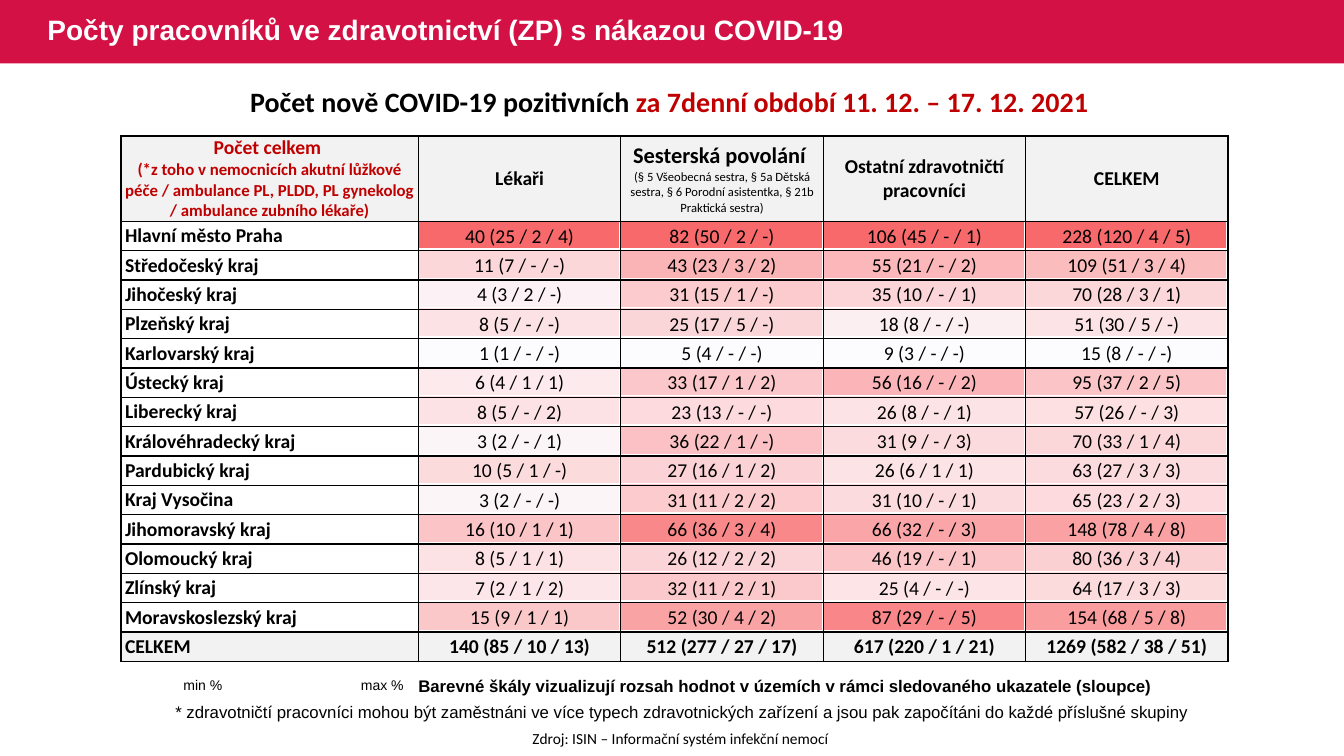
from math import ceil

from lxml import etree
from pptx import Presentation
from pptx.dml.color import RGBColor
from pptx.enum.shapes import MSO_SHAPE
from pptx.enum.text import MSO_ANCHOR, MSO_AUTO_SIZE, PP_ALIGN
from pptx.oxml.ns import qn
from pptx.util import Inches, Pt

RECT = MSO_SHAPE.RECTANGLE
MIDDLE = MSO_ANCHOR.MIDDLE
GROW = MSO_AUTO_SIZE.SHAPE_TO_FIT_TEXT
LEFT, CENTER = PP_ALIGN.LEFT, PP_ALIGN.CENTER

BLACK = RGBColor(0x00, 0x00, 0x00)
WHITE = RGBColor(0xFF, 0xFF, 0xFF)
RED = RGBColor(0xC0, 0x00, 0x00)
BAND = RGBColor(0xD3, 0x11, 0x45)
GREY = RGBColor(0xF2, 0xF2, 0xF2)
LOW = RGBColor(0xFC, 0xFC, 0xFF)
HIGH = RGBColor(0xF8, 0x69, 0x6B)

# Each header cell is a list of paragraphs: text, size, bold, colour
HEAD = [
    [("Počet celkem ", 14, True, RED),
     ("(*z toho v nemocnicích akutní lůžkové péče / ambulance PL, PLDD, "
      "PL gynekolog / ambulance zubního lékaře)", 12, True, RED)],
    [("Lékaři", 14, True, BLACK)],
    [("Sesterská povolání ", 16, True, BLACK),
     ("(§ 5 Všeobecná sestra, § 5a Dětská sestra, § 6 Porodní asistentka, "
      "§ 21b Praktická sestra)", 9, False, BLACK)],
    [("Ostatní zdravotničtí pracovníci", 14, True, BLACK)],
    [("CELKEM", 14, True, BLACK)],
]
REGIONS = [
    ("Hlavní město Praha", "40 (25 / 2 / 4)", "82 (50 / 2 / -)", "106 (45 / - / 1)", "228 (120 / 4 / 5)"),
    ("Středočeský kraj", "11 (7 / - / -)", "43 (23 / 3 / 2)", "55 (21 / - / 2)", "109 (51 / 3 / 4)"),
    ("Jihočeský kraj", "4 (3 / 2 / -)", "31 (15 / 1 / -)", "35 (10 / - / 1)", "70 (28 / 3 / 1)"),
    ("Plzeňský kraj", "8 (5 / - / -)", "25 (17 / 5 / -)", "18 (8 / - / -)", "51 (30 / 5 / -)"),
    ("Karlovarský kraj", "1 (1 / - / -)", "5 (4 / - / -)", "9 (3 / - / -)", "15 (8 / - / -)"),
    ("Ústecký kraj", "6 (4 / 1 / 1)", "33 (17 / 1 / 2)", "56 (16 / - / 2)", "95 (37 / 2 / 5)"),
    ("Liberecký kraj", "8 (5 / - / 2)", "23 (13 / - / -)", "26 (8 / - / 1)", "57 (26 / - / 3)"),
    ("Královéhradecký kraj", "3 (2 / - / 1)", "36 (22 / 1 / -)", "31 (9 / - / 3)", "70 (33 / 1 / 4)"),
    ("Pardubický kraj", "10 (5 / 1 / -)", "27 (16 / 1 / 2)", "26 (6 / 1 / 1)", "63 (27 / 3 / 3)"),
    ("Kraj Vysočina", "3 (2 / - / -)", "31 (11 / 2 / 2)", "31 (10 / - / 1)", "65 (23 / 2 / 3)"),
    ("Jihomoravský kraj", "16 (10 / 1 / 1)", "66 (36 / 3 / 4)", "66 (32 / - / 3)", "148 (78 / 4 / 8)"),
    ("Olomoucký kraj", "8 (5 / 1 / 1)", "26 (12 / 2 / 2)", "46 (19 / - / 1)", "80 (36 / 3 / 4)"),
    ("Zlínský kraj", "7 (2 / 1 / 2)", "32 (11 / 2 / 1)", "25 (4 / - / -)", "64 (17 / 3 / 3)"),
    ("Moravskoslezský kraj", "15 (9 / 1 / 1)", "52 (30 / 4 / 2)", "87 (29 / - / 5)", "154 (68 / 5 / 8)"),
]
TOTAL = ("CELKEM", "140 (85 / 10 / 13)", "512 (277 / 27 / 17)",
         "617 (220 / 1 / 21)", "1269 (582 / 38 / 51)")


def count(text):
    return int(text.split()[0])


def shade(value, column):
    """Colour of a value between the lowest and highest of its column."""
    part = (value - min(column)) / (max(column) - min(column))
    return RGBColor(*(ceil(a + (b - a) * part) for a, b in zip(LOW, HIGH)))


class Page:
    body, sans = "Calibri", "Arial"

    def __init__(self, deck):
        self.slide = deck.slides.add_slide(deck.slide_layouts[5])
        self.shapes = self.slide.shapes

    def run(self, para, text, size, bold=False, color=BLACK, font=body):
        run = para.add_run()
        run.text = text
        run.font.name, run.font.size, run.font.bold = font, Pt(size), bold
        run.font.color.rgb = color

    def band(self, x, y, w, h):
        bar = self.shapes.add_shape(RECT, Inches(x), Inches(y), Inches(w), Inches(h))
        bar.shadow.inherit = False
        bar.fill.solid()
        bar.fill.fore_color.rgb = BAND
        bar.line.fill.background()
        # Send the band behind the title
        self.shapes._spTree.insert(2, bar._element)

    def title(self, text, x, y, w, h):
        box = self.shapes.title
        box.left, box.top, box.width, box.height = map(Inches, (x, y, w, h))
        box.text_frame.vertical_anchor = MIDDLE
        para = box.text_frame.paragraphs[0]
        para.alignment, para.line_spacing = LEFT, 0.9
        self.run(para, text, 20, True, WHITE, self.sans)

    def text(self, x, y, w, h, runs, align=LEFT, inset=None, tab=None):
        box = self.shapes.add_textbox(Inches(x), Inches(y), Inches(w), Inches(h))
        frame = box.text_frame
        frame.word_wrap, frame.auto_size = True, GROW
        if inset is not None:
            frame.margin_left = Inches(inset)
            frame.margin_right = frame.margin_top = frame.margin_bottom = 0
        para = frame.paragraphs[0]
        para.alignment = align
        if tab:
            stops = etree.SubElement(para._p.get_or_add_pPr(), qn("a:tabLst"))
            etree.SubElement(stops, qn("a:tab"), pos=str(Inches(tab)), algn="l")
        for run in runs:
            self.run(para, *run)

    def fill(self, cell, color=None):
        if color is None:
            cell.fill.background()
        else:
            cell.fill.solid()
            cell.fill.fore_color.rgb = color

    def tint(self, cell, color=None):
        """Colour a cell that holds no text and keep its row low."""
        cell.margin_left = cell.margin_right = cell.margin_top = cell.margin_bottom = 0
        etree.SubElement(cell.text_frame.paragraphs[0]._p, qn("a:endParaRPr"), sz="1000")
        self.fill(cell, color)

    def cell(self, cell, paras, align, color=None, side=0.04, top=0):
        cell.vertical_anchor = MIDDLE
        cell.margin_left = cell.margin_right = Inches(side)
        cell.margin_top, cell.margin_bottom = Inches(top), 0
        # Black border on all four sides
        props = cell._tc.get_or_add_tcPr()
        for edge in ("a:lnL", "a:lnR", "a:lnT", "a:lnB"):
            line = etree.SubElement(props, qn(edge), w=str(Pt(1)))
            solid = etree.SubElement(line, qn("a:solidFill"))
            etree.SubElement(solid, qn("a:srgbClr"), val=str(BLACK))
        self.fill(cell, color)
        frame = cell.text_frame
        for i, item in enumerate(paras):
            para = frame.add_paragraph() if i else frame.paragraphs[0]
            para.alignment = align
            self.run(para, *item)

    def table(self, x, y, widths, heights):
        frame = self.shapes.add_table(len(heights), len(widths), Inches(x), Inches(y),
                                      Inches(sum(widths)), Inches(sum(heights)))
        grid = frame.table
        grid.first_row = grid.horz_banding = False
        for col, width in zip(grid.columns, widths):
            col.width = Inches(width)
        for row, height in zip(grid.rows, heights):
            row.height = Inches(height)
        return grid


def main():
    deck = Presentation()
    deck.slide_width, deck.slide_height = Inches(13.33), Inches(7.5)
    page = Page(deck)

    # Heading
    page.band(0, 0, 13.33, 0.63)
    page.title("Počty pracovníků ve zdravotnictví (ZP) s nákazou COVID-19", 0.37, 0, 8.6, 0.63)

    # Colour scale of each column, lying under the figures
    rows = REGIONS + [TOTAL]
    highs, wides = [4.37 / len(rows)] * len(rows), [8.03 / 4] * 4
    scale = page.table(4.14, 2.18, wides, highs)
    for c, column in enumerate(list(zip(*REGIONS))[1:]):
        counts = [count(value) for value in column]
        for r, value in enumerate(counts):
            page.tint(scale.cell(r, c), shade(value, counts))
        page.tint(scale.cell(len(counts), c))

    # Figures
    grid = page.table(1.2, 1.35, [2.95] + wides, [0.84] + highs)
    for c, paras in enumerate(HEAD):
        page.cell(grid.cell(0, c), paras, CENTER, GREY)
    for r, (name, *values) in enumerate(rows, 1):
        last = r == len(rows)
        color = GREY if last else None
        page.cell(grid.cell(r, 0), [(name, 14, True)], LEFT, color)
        for c, value in enumerate(values, 1):
            page.cell(grid.cell(r, c), [(value, 14, last)], CENTER, color, 0.01, 0.01)

    # Period, legend, note and source
    page.text(0.67, 0.79, 12, 0.44,
              [("Počet nově COVID-19 pozitivních ", 20, True),
               ("za 7denní období 11. 12. – 17. 12. 2021 ", 20, True, RED)], CENTER)
    page.text(1.74, 6.71, 2.34, 0.17,
              [("min %\tmax %", 10, False, BLACK, page.sans)], inset=0.08, tab=1.76)
    page.text(4.05, 6.65, 7.72, 0.3,
              [("Barevné škály vizualizují rozsah hodnot v územích v rámci "
                "sledovaného ukazatele (sloupce)", 12, True, BLACK, page.sans)])
    page.text(1.64, 6.91, 10.26, 0.3,
              [("* zdravotničtí pracovníci mohou být zaměstnáni ve více typech zdravotnických "
                "zařízení a jsou pak započítáni do každé příslušné skupiny",
                12, False, BLACK, page.sans)])
    page.text(3.27, 7.18, 6.96, 0.29,
              [("Zdroj: ISIN – Informační systém infekční nemocí", 11)], CENTER)

    deck.save("out.pptx")


if __name__ == "__main__":
    main()
